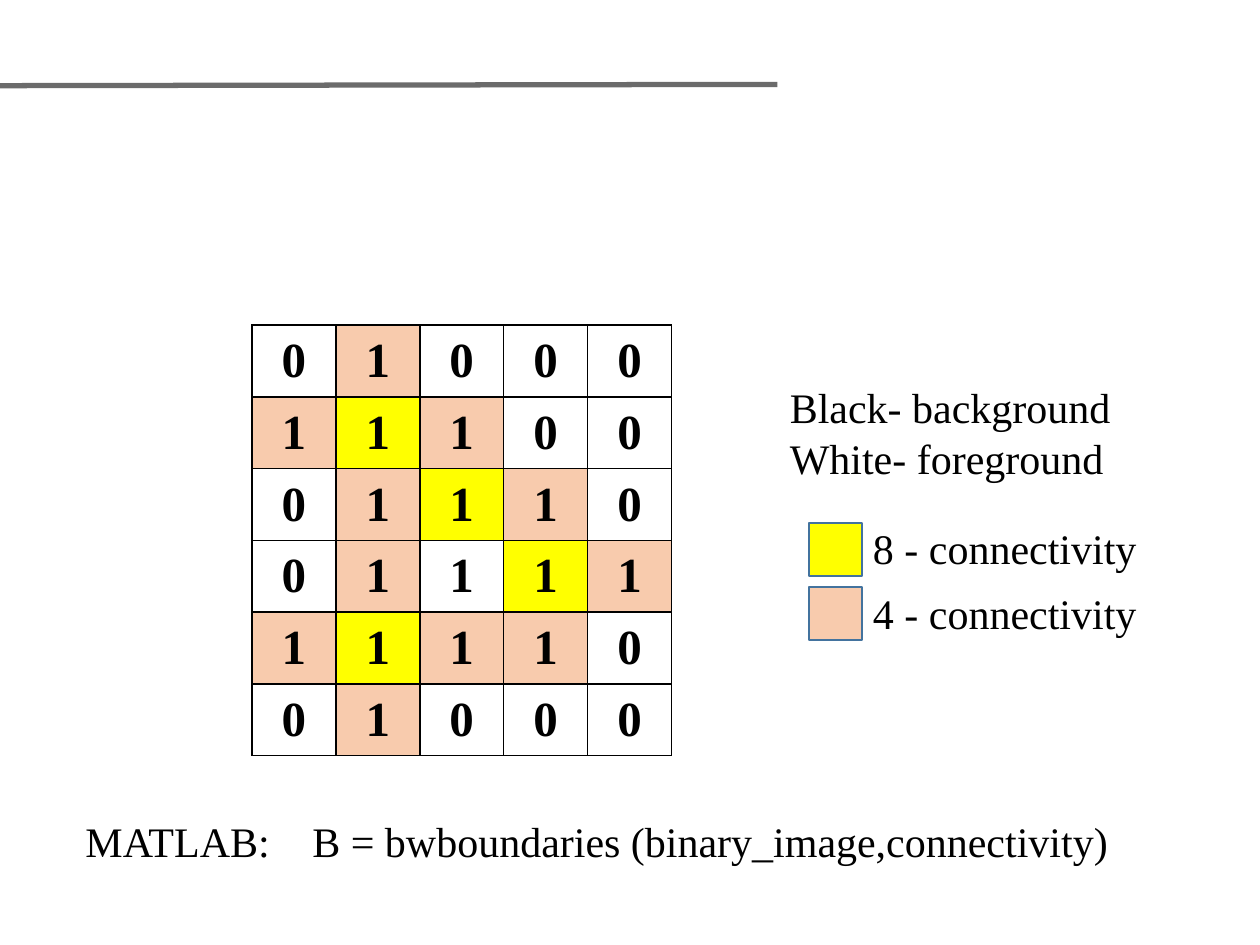
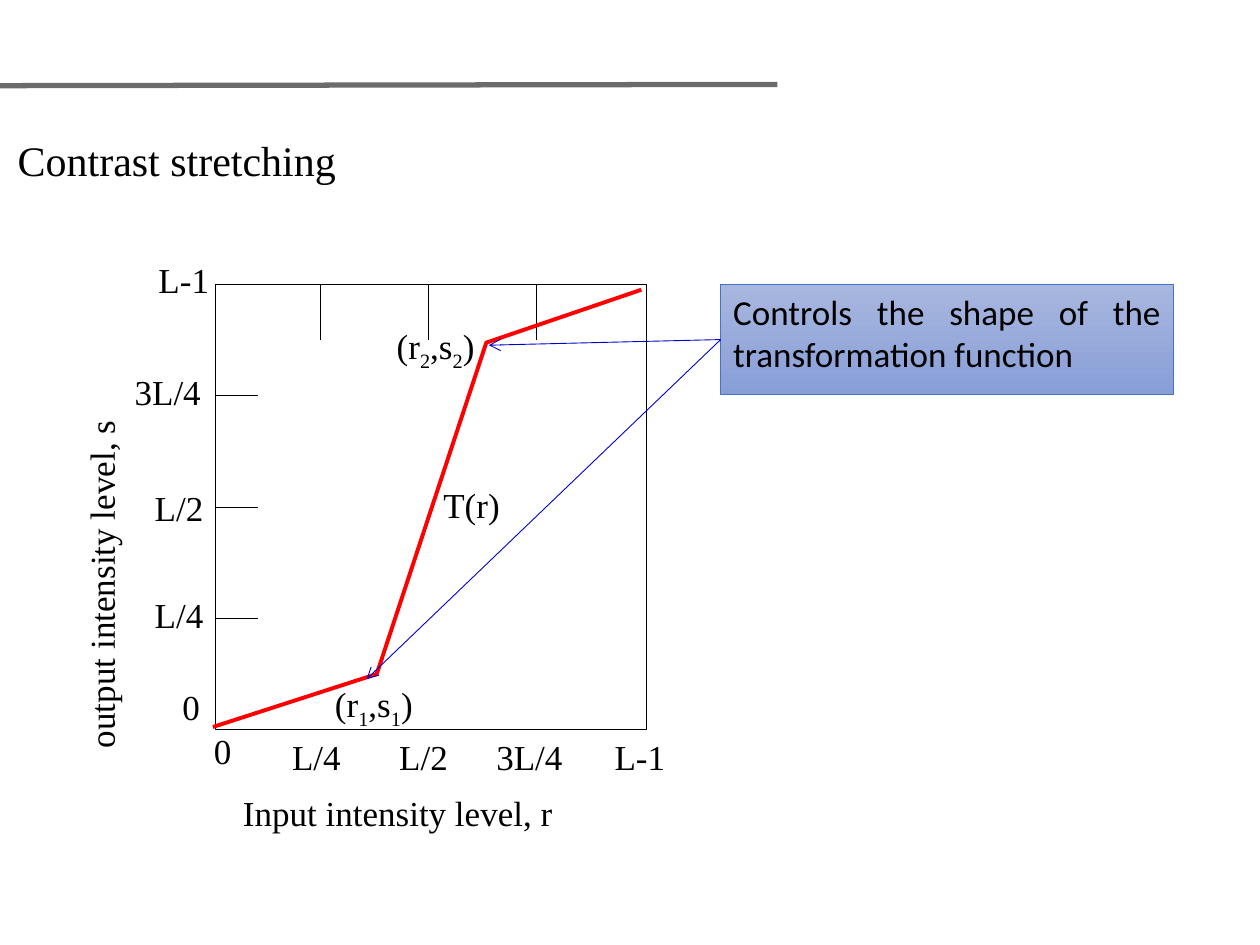
from lxml.etree import SubElement
from pptx import Presentation
from pptx.dml.color import RGBColor
from pptx.enum.shapes import MSO_CONNECTOR, MSO_SHAPE
from pptx.enum.text import MSO_ANCHOR, MSO_AUTO_SIZE, PP_ALIGN
from pptx.oxml.ns import qn
from pptx.util import Inches, Pt

BLACK = RGBColor(0x00, 0x00, 0x00)
WHITE = RGBColor(0xFF, 0xFF, 0xFF)
GREY = RGBColor(0x6B, 0x6B, 0x6B)
YELLOW = RGBColor(0xFF, 0xFF, 0x00)
PEACH = RGBColor(0xF8, 0xCB, 0xAD)
NAVY = RGBColor(0x43, 0x73, 0x9E)
AZURE = RGBColor(0x44, 0x72, 0xC4)
RED = RGBColor(0xFF, 0x00, 0x00)
BLUE = RGBColor(0x00, 0x00, 0xCC)
PALE = RGBColor(0xA8, 0xB7, 0xDF)
DEEP = RGBColor(0x88, 0x9E, 0xD7)
SERIF = "Times New Roman"
SANS = "Calibri"
TITLE_ONLY, BLANK = 5, 6


class Deck:
    """Holds the shared style and the slide being built."""

    def __init__(self):
        self.prs = Presentation()
        self.prs.slide_width = Inches(10)
        self.prs.slide_height = Inches(7.5)
        self.slide = None

    def start(self, layout):
        self.slide = self.prs.slides.add_slide(self.prs.slide_layouts[layout])
        self.line((-0.02, 0.68), (6.17, 0.67), GREY, 3)

    def place(self, shape, box):
        shape.left, shape.top, shape.width, shape.height = map(Inches, box)

    def fill_in(self, para, runs, size, font=SERIF, bold=False, align=PP_ALIGN.LEFT):
        para.alignment = align
        for index, part in enumerate(runs):
            run = para.add_run()
            run.text = part
            run.font.name = font
            run.font.size = Pt(size)
            run.font.bold = bold
            run.font.color.rgb = BLACK
            if index % 2:
                run._r.get_or_add_rPr().set("baseline", "-25000")

    def title(self, words, box):
        shape = self.slide.shapes.title
        self.place(shape, box)
        frame = shape.text_frame
        frame.auto_size = MSO_AUTO_SIZE.NONE
        frame.vertical_anchor = MSO_ANCHOR.TOP
        self.fill_in(frame.paragraphs[0], [words], 24)

    def text(self, box, *lines, size=20, turn=0, tab=None):
        shape = self.slide.shapes.add_textbox(*map(Inches, box))
        shape.rotation = turn
        frame = shape.text_frame
        frame.word_wrap = True
        for index, runs in enumerate(lines):
            para = frame.add_paragraph() if index else frame.paragraphs[0]
            if tab:
                stops = SubElement(para._p.get_or_add_pPr(), qn("a:tabLst"))
                SubElement(stops, qn("a:tab"), pos=str(Inches(tab)), algn="l")
            self.fill_in(para, runs, size)

    def rect(self, box, fill, edge, width):
        shape = self.slide.shapes.add_shape(MSO_SHAPE.RECTANGLE, *map(Inches, box))
        shape.shadow.inherit = False
        shape.fill.solid()
        shape.fill.fore_color.rgb = fill
        shape.line.color.rgb = edge
        shape.line.width = Pt(width)
        return shape

    def callout(self, box, words):
        shape = self.rect(box, PALE, AZURE, 0.5)
        shape.fill.gradient()
        shape.fill.gradient_angle = 270
        for stop, tint in zip(shape.fill.gradient_stops, (PALE, DEEP)):
            stop.color.rgb = tint
        frame = shape.text_frame
        frame.word_wrap = True
        frame.vertical_anchor = MSO_ANCHOR.TOP
        self.fill_in(frame.paragraphs[0], [words], 20, SANS, align=PP_ALIGN.JUSTIFY)
        return shape

    def line(self, start, end, color, width, source=None, arrow=False):
        points = map(Inches, (*start, *end))
        link = self.slide.shapes.add_connector(MSO_CONNECTOR.STRAIGHT, *points)
        link.line.color.rgb = color
        link.line.width = Pt(width)
        if source is not None:
            link.begin_connect(source, 1)
        if arrow:
            SubElement(link.line._get_or_add_ln(), qn("a:tailEnd"), type="arrow")
        SubElement(link._element.spPr, qn("a:effectLst"))

    def curve(self, points, color, width):
        first, *rest = [(Inches(x), Inches(y)) for x, y in points]
        pen = self.slide.shapes.build_freeform(*first)
        pen.add_line_segments(rest, close=False)
        shape = pen.convert_to_shape()
        shape.shadow.inherit = False
        shape.fill.background()
        shape.line.color.rgb = color
        shape.line.width = Pt(width)

    def border(self, cell):
        props = cell._tc.get_or_add_tcPr()
        for side in ("lnL", "lnR", "lnT", "lnB"):
            edge = SubElement(props, qn(f"a:{side}"), w=str(Pt(1)))
            fill = SubElement(edge, qn("a:solidFill"))
            SubElement(fill, qn("a:srgbClr"), val=str(BLACK))

    def grid(self, box, rows, tints):
        size = len(rows), len(rows[0])
        table = self.slide.shapes.add_table(*size, *map(Inches, box)).table
        table.first_row = table.horz_banding = False
        for r, row in enumerate(rows):
            for c, mark in enumerate(row):
                cell = table.cell(r, c)
                self.border(cell)
                cell.fill.solid()
                cell.fill.fore_color.rgb = tints.get(mark, WHITE)
                cell.vertical_anchor = MSO_ANCHOR.MIDDLE
                digit = "0" if mark == "0" else "1"
                para = cell.text_frame.paragraphs[0]
                self.fill_in(para, [digit], 28, bold=True, align=PP_ALIGN.CENTER)


def links(deck):
    tints = {"8": YELLOW, "4": PEACH}
    deck.start(BLANK)
    rows = ("04000", "48400", "04840", "04184", "48440", "04000")
    deck.grid((2, 2.58, 3.33, 3.42), rows, tints)
    deck.text((6.17, 2.98, 3.17, 1), ["Black- background"],
              ["White- foreground"], size=24)
    for index, (mark, tint) in enumerate(tints.items()):
        top = 4.1 + 0.51 * index
        deck.rect((6.42, top + 0.05, 0.42, 0.42), tint, NAVY, 1)
        deck.text((6.83, top, 2.58, 0.5), [f"{mark} - connectivity"], size=24)
    deck.text((0.58, 6.42, 8.75, 0.5),
              ["MATLAB:\tB = bwboundaries (binary_image,connectivity)"],
              size=24, tab=1.8)


def stretch(deck):
    deck.start(TITLE_ONLY)
    deck.title("Contrast stretching", (0.04, 1.02, 3.12, 0.5))
    left, top, wide, high = plot = 1.71, 2.26, 3.42, 3.53
    deck.rect(plot, WHITE, BLACK, 0.75)
    for step in (1, 2, 3):
        x = left - 0.02 + step * wide / 4
        y = top + step * high / 4
        deck.line((left, y), (left + 0.34, y), BLACK, 0.5)
        deck.line((x, top), (x, top + 0.44), BLACK, 0.5)

    labels = (
        ("0", 1.35, 5.39), ("L/4", 1.13, 4.66), ("L/2", 1.13, 3.81),
        ("3L/4", 0.97, 2.89), ("L-1", 1.16, 2),
        ("0", 1.6, 5.74), ("L/4", 2.22, 5.79), ("L/2", 3.07, 5.79),
        ("3L/4", 3.84, 5.79), ("L-1", 4.78, 5.79), ("T(r)", 3.42, 3.79),
    )
    for words, x, y in labels:
        deck.text((x, y, 0.25 + 0.15 * len(words), 0.49), [words])
    deck.text((1.83, 6.23, 3.24, 0.49), ["Input intensity level, r"])
    deck.text((-0.97, 4.01, 3.58, 0.47), ["output intensity level, s"], turn=270)

    deck.curve(((1.69, 5.77), (2.99, 5.35), (3.86, 2.72), (5.09, 2.3)), RED, 2.25)
    for mark, x, y in (("1", 2.56, 5.37), ("2", 3.05, 2.53)):
        deck.text((x, y, 0.98, 0.49), ["(r", mark, ",s", mark, ")"])
    note = deck.callout((5.72, top, 3.59, 0.87),
                        "Controls the shape of the transformation function")
    for tip in ((3.88, 2.74), (2.91, 5.39)):
        deck.line((5.72, 2.69), tip, BLUE, 0.5, note, True)


def main():
    deck = Deck()
    links(deck)
    stretch(deck)
    deck.prs.save("out.pptx")


if __name__ == "__main__":
    main()
